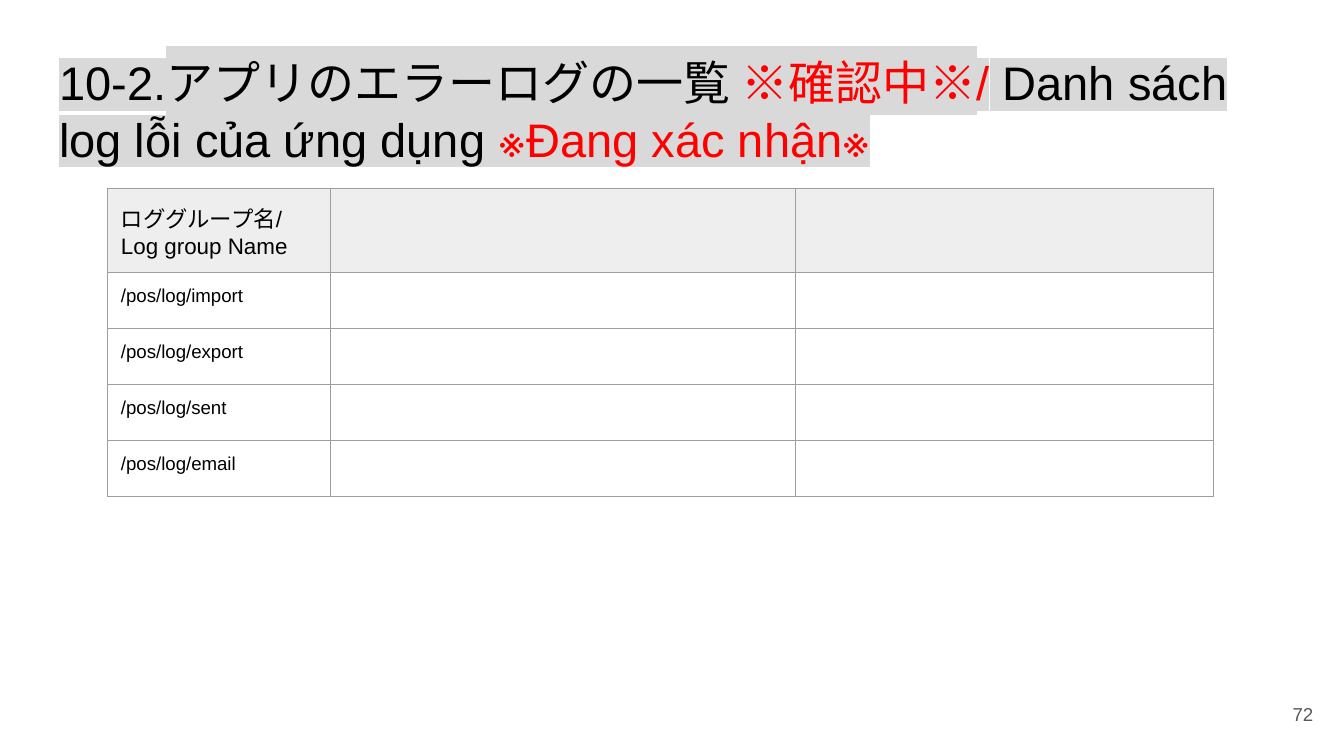
from lxml import etree
from pptx import Presentation
from pptx.dml.color import RGBColor
from pptx.enum.text import MSO_ANCHOR, MSO_AUTO_SIZE, PP_ALIGN
from pptx.oxml.ns import qn
from pptx.util import Inches, Pt

# Content
COLORS = {"text": "000000", "alert": "FF0000", "mark": "D9D9D9",
          "header": "EEEEEE", "body": "FFFFFF", "border": "9E9E9E",
          "number": "595959"}
FONT = "Arial"
TITLE = [("10-2.アプリのエラーログの一覧 ", "text"), ("※確認中※/", "alert"),
         (" Danh sách log lỗi của ứng dụng ", "text"),
         ("※Đang xác nhận※", "alert")]
LOG_GROUPS = ["ロググループ名/Log group Name", "/pos/log/import",
              "/pos/log/export", "/pos/log/sent", "/pos/log/email"]
COL_WIDTHS = [1.66, 3.46, 3.11]
ROW_HEIGHT = Pt(30)
PAGE = "72"


def rgb(name):
    return RGBColor.from_string(COLORS[name])


def style(r, size, color):
    r.font.size = Pt(size)
    r.font.name = FONT
    r.font.color.rgb = rgb(color)


def add_color(parent, name):
    etree.SubElement(parent, qn("a:srgbClr"), val=COLORS[name])


def highlight(r, name):
    mark = etree.Element(qn("a:highlight"))
    add_color(mark, name)
    r.font._element.find(qn("a:solidFill")).addnext(mark)


def set_insets(box):
    box.margin_left = box.margin_right = Inches(0.1)
    box.margin_top = box.margin_bottom = Inches(0.1)


def set_borders(cell):
    tc_pr = cell._tc.get_or_add_tcPr()
    for i, side in enumerate(("lnL", "lnR", "lnT", "lnB")):
        ln = etree.Element(qn(f"a:{side}"), w=str(Pt(0.75)))
        add_color(etree.SubElement(ln, qn("a:solidFill")), "border")
        tc_pr.insert(i, ln)


# 16:9 slide
prs = Presentation()
prs.slide_width = Inches(10)
prs.slide_height = prs.slide_width * 9 // 16
s = prs.slides.add_slide(prs.slide_layouts[5])

# Title
title = s.shapes.title
title.left, title.top = Inches(0.34), Inches(0.3)
title.width, title.height = Inches(9.32), Inches(0.63)
tf = title.text_frame
tf.word_wrap = True
tf.auto_size = MSO_AUTO_SIZE.NONE
tf.vertical_anchor = MSO_ANCHOR.TOP
set_insets(tf)
p = tf.paragraphs[0]
p.alignment = PP_ALIGN.LEFT
p.line_spacing = 1.0
for text, color in TITLE:
    r = p.add_run()
    r.text = text
    style(r, 25.2, color)
    highlight(r, "mark")

# Log group table
table = s.shapes.add_table(len(LOG_GROUPS), len(COL_WIDTHS), Inches(0.8),
                           Inches(1.4), Inches(sum(COL_WIDTHS)),
                           ROW_HEIGHT * len(LOG_GROUPS)).table
for col, width in zip(table.columns, COL_WIDTHS):
    col.width = Inches(width)
for i, (row, name) in enumerate(zip(table.rows, LOG_GROUPS)):
    row.height = ROW_HEIGHT
    for cell in row.cells:
        cell.fill.solid()
        cell.fill.fore_color.rgb = rgb("body" if i else "header")
        set_borders(cell)
    label = row.cells[0]
    set_insets(label)
    label.text_frame.text = name
    r = label.text_frame.paragraphs[0].runs[0]
    style(r, 10 if i else 12, "text")
    r.font.bold = False

# Slide number
number = s.shapes.add_textbox(Inches(9.27), Inches(5.1), Inches(0.6), Inches(0.43))
tf = number.text_frame
tf.word_wrap = True
tf.vertical_anchor = MSO_ANCHOR.MIDDLE
set_insets(tf)
tf.text = PAGE
p = tf.paragraphs[0]
p.alignment = PP_ALIGN.RIGHT
style(p.runs[0], 10, "number")

prs.save("out.pptx")
